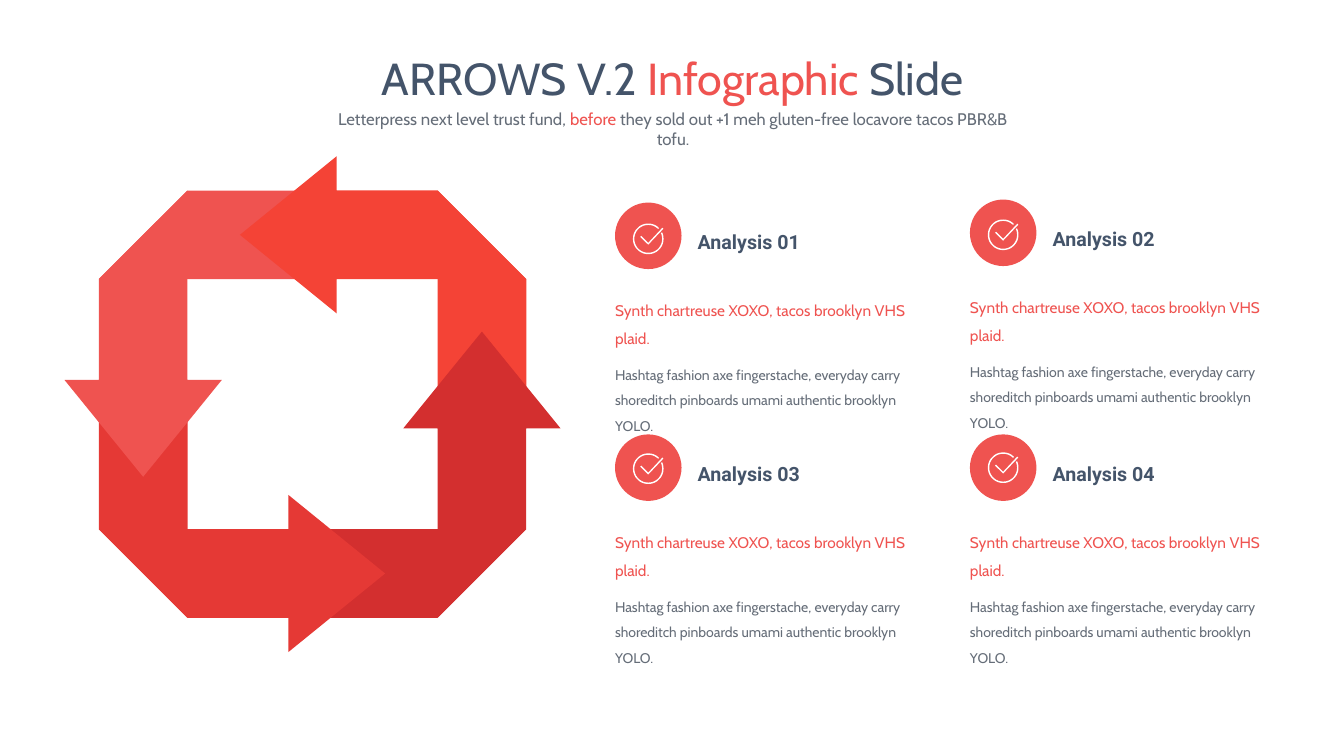
import math
import pptx
import pptx.dml.color
import pptx.enum.shapes
import pptx.enum.text
import pptx.util

SCALE = 9144  # EMU in one px, 100 px to the inch
COLORS = {
    "navy": "44546A", "gray": "656D78", "white": "FFFFFF", "coral": "EF5350",
    "red": "F44336", "dark": "D32F2F", "brick": "E53935",
}
CENTER = pptx.enum.text.PP_ALIGN.CENTER
MIDDLE = pptx.enum.text.MSO_ANCHOR.MIDDLE
ROUND = pptx.enum.shapes.MSO_SHAPE.ROUNDED_RECTANGLE

# The top arrow, in px from the middle of the cycle
TAIL = [(124, -212), (124, 24), (212, 24), (212, -124)]
HEAD = [(212, -124), (124, -212), (24, -212), (24, -246),
        (-72, -168), (24, -90), (24, -124)]
TICK = [(0, 4), (-7, -3), (-8, -2), (0, 5.8), (15, -10), (14, -11)]

# Left, top and the drop from top to icon middle
CARDS = [(610, 201, 36), (962, 198, 35), (610, 431, 34), (962, 431, 33)]
LEAD = "Synth chartreuse XOXO, tacos brooklyn VHS plaid."
NOTE = ("Hashtag fashion axe fingerstache, everyday carry shoreditch "
        "pinboards umami authentic brooklyn YOLO.")


def turn(points, times):
    """Rotate points clockwise by quarter turns."""
    for _ in range(times):
        points = [(-y, x) for x, y in points]
    return points


def ring(outer, inner, start, end):
    """Outline of an open ring, angles in degrees."""
    steps = range(start, end + 1, 5)
    rim = [(outer, a) for a in steps] + [(inner, a) for a in reversed(steps)]
    return [(r * math.cos(math.radians(a)), r * math.sin(math.radians(a)))
            for r, a in rim]


class Deck:
    """Slide in progress, with its fonts and colours."""
    font = "Cabin"
    bold = "Roboto"

    def __init__(self, wide, high):
        self.file = pptx.Presentation()
        self.file.slide_width = self.px(wide)
        self.file.slide_height = self.px(high)
        self.slide = self.file.slides.add_slide(self.file.slide_layouts[6])

    def px(self, size):
        return pptx.util.Emu(size * SCALE)

    def tint(self, name):
        return pptx.dml.color.RGBColor.from_string(COLORS[name])

    def paint(self, shape, color):
        shape.shadow.inherit = False
        shape.fill.solid()
        shape.fill.fore_color.rgb = self.tint(color)
        shape.line.fill.background()

    def free(self, x, y, paths, color):
        """Closed outlines in one shape, points in px from x, y."""
        fine = 10  # the builder rounds to whole units
        paths = [[((x + dx) * fine, (y + dy) * fine) for dx, dy in path]
                 for path in paths]
        pen = self.slide.shapes.build_freeform(*paths[0][0], scale=SCALE / fine)
        for path in paths:
            if path is not paths[0]:
                pen.move_to(*path[0])
            pen.add_line_segments(path[1:], close=True)
        self.paint(pen.convert_to_shape(), color)

    def disc(self, x, y, size, color):
        shape = self.slide.shapes.add_shape(
            ROUND, *map(self.px, (x, y, size, size)))
        shape.adjustments[0] = 0.5
        self.paint(shape, color)

    def text(self, box, paras, align=None, anchor=None, inset=True,
             space=None, gap=0, bold=False, grow=True):
        """Each paragraph is a size and a list of (words, colour) runs."""
        frame = self.slide.shapes.add_textbox(*map(self.px, box)).text_frame
        frame.word_wrap = True
        if grow:
            frame.auto_size = pptx.enum.text.MSO_AUTO_SIZE.SHAPE_TO_FIT_TEXT
        if anchor is not None:
            frame.vertical_anchor = anchor
        if not inset:
            frame.margin_left = frame.margin_right = 0
            frame.margin_top = frame.margin_bottom = 0
        for i, (size, runs) in enumerate(paras):
            para = frame.add_paragraph() if i else frame.paragraphs[0]
            para.alignment = align
            para.line_spacing = space
            if i:
                para.space_before = pptx.util.Pt(gap)
            for words, color in runs:
                run = para.add_run()
                run.text = words
                run.font.size = pptx.util.Pt(size)
                run.font.name = self.bold if bold else self.font
                run.font.bold = bold
                run.font.color.rgb = self.tint(color)

    def card(self, x, y, drop, title):
        self.disc(x, y, 66, "coral")
        self.text((x + 82, y + 21, 193, 28), [(14, [(title, "navy")])],
                  anchor=MIDDLE, inset=False, space=1.3, bold=True)
        self.text((x, y + 89, 309, 87),
                  [(11, [(LEAD, "coral")]), (10, [(NOTE, "gray")])],
                  inset=False, space=1.5, gap=7.5, grow=False)
        self.free(x + 33, y + drop, [ring(15.2, 13.8, -25, 315), TICK], "white")


def main():
    deck = Deck(1333, 750)
    deck.text((254, 45, 826, 64), [(32, [
        ("ARROWS V.2 ", "navy"), ("Infographic ", "coral"),
        ("Slide", "navy")])], align=CENTER)
    deck.text((320, 103, 695, 30), [(12, [
        ("Letterpress next level trust fund, ", "gray"), ("before", "coral"),
        (" they sold out +1 meh gluten-free locavore tacos PBR&B tofu.",
         "gray")])], align=CENTER)
    # Tails go first so that each head covers the next tail
    for part in (TAIL, HEAD):
        for i, color in enumerate(("red", "dark", "brick", "coral")):
            deck.free(310, 401, [turn(part, i)], color)
    for i, spot in enumerate(CARDS, 1):
        deck.card(*spot, f"Analysis {i:02}")
    deck.file.save("out.pptx")


if __name__ == "__main__":
    main()
